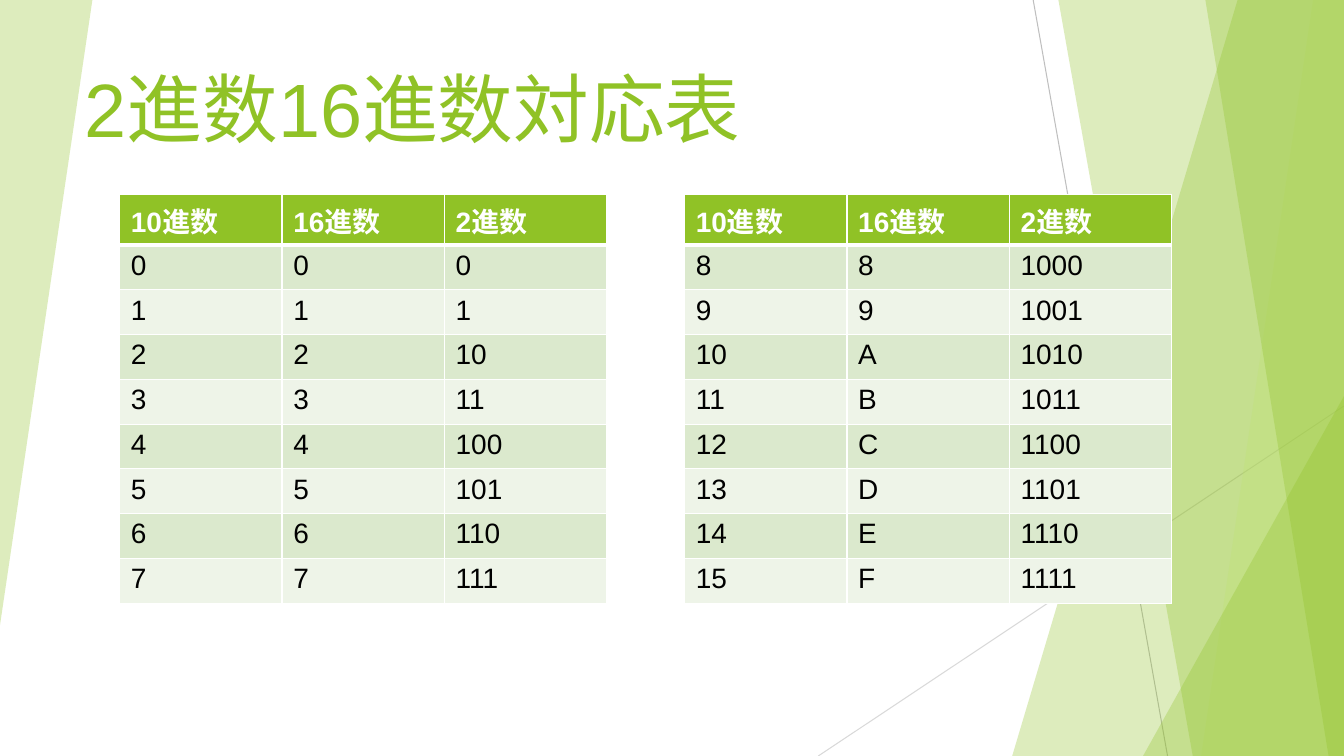
from lxml import etree
from pptx import Presentation
from pptx.dml.color import RGBColor
from pptx.enum.shapes import MSO_CONNECTOR, MSO_SHAPE
from pptx.enum.text import MSO_ANCHOR, PP_ALIGN
from pptx.oxml.ns import qn
from pptx.util import Pt

LINE = MSO_CONNECTOR.STRAIGHT
TRIANGLE = MSO_SHAPE.ISOSCELES_TRIANGLE
TOP = MSO_ANCHOR.TOP
LEFT = PP_ALIGN.LEFT

PX = 6350  # 144 px to the inch
WIDTH, HEIGHT = 1920, 1080
COL, ROW = 232, 64
FONT = "Arial"

GREEN = RGBColor(0x90, 0xC2, 0x26)
LIME = RGBColor(0xC0, 0xE4, 0x74)
DARK = RGBColor(0xDB, 0xE9, 0xCD)
PALE = RGBColor(0xEE, 0xF4, 0xE8)
GRAY = RGBColor(0xBF, 0xBF, 0xBF)
SILVER = RGBColor(0xD9, 0xD9, 0xD9)
WHITE = RGBColor(0xFF, 0xFF, 0xFF)
BLACK = RGBColor(0, 0, 0)

HEADS = ["10進数", "16進数", "2進数"]


def px(*vals):
    return [val * PX for val in vals]


def add_run(para, text, size, color, bold=False):
    run = para.add_run()
    run.text = text
    font = run.font
    font.name, font.size, font.bold = FONT, Pt(size), bold
    font.color.rgb = color


def add_line(slide, ends, color):
    line = slide.shapes.add_connector(LINE, *px(*ends))
    line.line.color.rgb = color
    line.line.width = Pt(0.75)
    etree.SubElement(line._element.spPr, qn("a:effectLst"))


def tint(shape, color):
    """Fill with a 30 % opaque colour, without line or shadow."""
    shape.shadow.inherit = False
    shape.line.fill.background()
    shape.fill.solid()
    shape.fill.fore_color.rgb = color
    clr = shape._element.spPr.find(".//" + qn("a:srgbClr"))
    etree.SubElement(clr, qn("a:alpha"), val="30000")


def add_band(slide, top, foot, color):
    """Band from a slanted left edge to the right side of the slide."""
    form = slide.shapes.build_freeform(top, 0, scale=PX)
    form.add_line_segments([(WIDTH, 0), (WIDTH, HEIGHT), (foot, HEIGHT)])
    tint(form.convert_to_shape(), color)


def add_wedge(slide, box, turn):
    wedge = slide.shapes.add_shape(TRIANGLE, *px(*box))
    wedge.adjustments[0] = 1
    wedge.rotation = turn
    tint(wedge, GREEN)


def add_edge(cell, side, width):
    edge = etree.SubElement(cell._tc.get_or_add_tcPr(), qn("a:ln" + side),
                            w=str(Pt(width)))
    fill = etree.SubElement(edge, qn("a:solidFill"))
    etree.SubElement(fill, qn("a:srgbClr"), val=str(WHITE))


def fill_cell(cell, text, row):
    head = row == 0
    for side in "LRTB":
        thick = (side, row) in (("B", 0), ("T", 1))
        add_edge(cell, side, 3 if thick else 1)
    cell.fill.solid()
    cell.fill.fore_color.rgb = GREEN if head else DARK if row % 2 else PALE
    cell.margin_left = cell.margin_right = 16 * PX
    cell.margin_top = cell.margin_bottom = 7 * PX
    add_run(cell.text_frame.paragraphs[0], text, 20,
            WHITE if head else BLACK, head)


def add_grid(slide, left, nums):
    rows = [HEADS] + [[str(n), f"{n:X}", f"{n:b}"] for n in nums]
    box = px(left, 278, COL * len(HEADS), ROW * len(rows))
    table = slide.shapes.add_table(len(rows), len(HEADS), *box).table
    for col in table.columns:
        col.width = COL * PX
    for r, row in enumerate(rows):
        table.rows[r].height = ROW * PX
        for c, text in enumerate(row):
            fill_cell(table.cell(r, c), text, r)


def set_title(slide, text):
    title = slide.shapes.title
    title.left, title.top, title.width, title.height = px(107, 96, 1701, 104)
    frame = title.text_frame
    frame.word_wrap = True
    frame.vertical_anchor = TOP
    para = frame.paragraphs[0]
    para.alignment = LEFT
    para.line_spacing = 0.9
    add_run(para, text, 54, GREEN)


def main():
    deck = Presentation()
    deck.slide_width, deck.slide_height = px(WIDTH, HEIGHT)
    slide = deck.slides.add_slide(deck.slide_layouts[5])

    # Background lines and green facets
    add_line(slide, (1476, 0, 1668, HEIGHT), GRAY)
    add_line(slide, (WIDTH, 580, 1169, HEIGHT), SILVER)
    for top, foot, color in [(1768, 1446, GREEN), (1512, 1704, GREEN),
                             (1876, 1716, LIME), (1722, 1898, GREEN)]:
        add_band(slide, top, foot, color)
    add_wedge(slide, (1633, 566, 287, 514), 0)
    add_wedge(slide, (0, 0, 132, 893), 180)

    # Title and the two number tables
    set_title(slide, "2進数16進数対応表")
    add_grid(slide, 171, range(8))
    add_grid(slide, 978, range(8, 16))

    deck.save("out.pptx")


if __name__ == "__main__":
    main()
